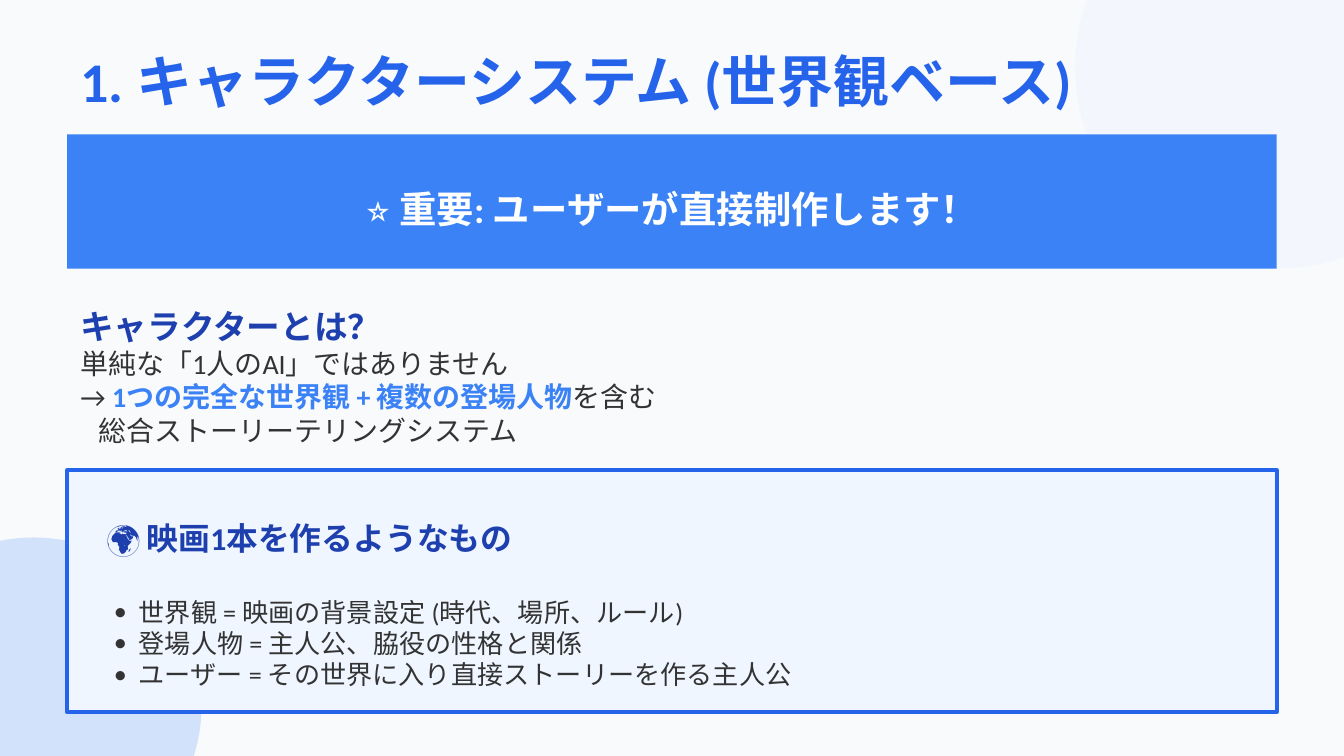
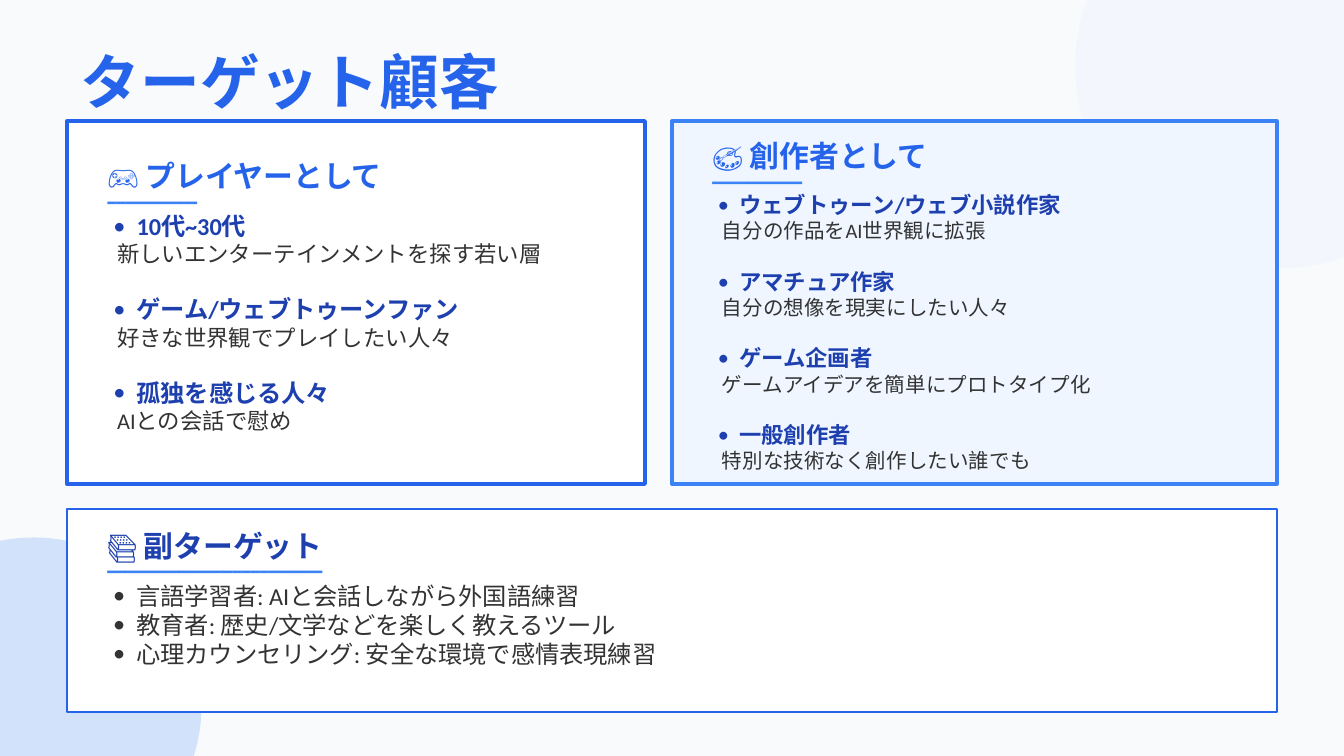
import pptx
import pptx.util
import pptx.dml.color
import pptx.enum.shapes
import pptx.enum.text
import pptx.oxml.ns
from lxml import etree

Cm = pptx.util.Cm
Pt = pptx.util.Pt
qn = pptx.oxml.ns.qn
Kind = pptx.enum.shapes.MSO_SHAPE
Align = pptx.enum.text.PP_ALIGN

FONT = "Calibri"
HUES = {
    "page": "F8FAFC",
    "pale": "EFF6FF",
    "sky": "3B82F6",
    "blue": "2563EB",
    "navy": "1E40AF",
    "ink": "333333",
    "white": "FFFFFF",
}
EDGE = 1.27
INNER = 1.78
WIDE = 22.86
DOT = 0.042
SUB = 0.18


def tint(name):
    return pptx.dml.color.RGBColor.from_string(HUES[name])


def put(para, text, size=15, color="ink", bold=False, align=Align.LEFT,
        before=0, left=0, dot=False):
    props = para._p.get_or_add_pPr()
    if dot:
        left = size * DOT
    props.set("marL", str(Cm(left)))
    props.set("indent", str(Cm(-0.8 * left) if dot else 0))
    if dot:
        etree.SubElement(props, qn("a:buFont")).set("typeface", FONT)
        etree.SubElement(props, qn("a:buChar")).set("char", "•")
    else:
        etree.SubElement(props, qn("a:buNone"))
    para.alignment = align
    para.space_before = Pt(before)
    for spot, part in enumerate(text.split("|")):
        accent = spot % 2 == 1
        run = para.add_run()
        run.text = part
        run.font.name = FONT
        run.font.size = Pt(size)
        run.font.bold = bold or accent
        run.font.color.rgb = tint("sky" if accent else color)


def line(text, **form):
    return text, form


def rule(count):
    return line("━" * count, size=8, color="sky")


def group(pairs, size):
    rows = []
    for spot, (name, note) in enumerate(pairs):
        gap = round(1.22 * (size - 1), 1) if spot else 0
        rows.append(line(name, size=size, color="navy", bold=True,
                         before=gap, dot=True))
        rows.append(line(note, size=size - 1, left=SUB))
    return rows


class Deck:
    def __init__(self):
        self.show = pptx.Presentation()
        self.show.slide_width = Cm(25.4)
        self.show.slide_height = Cm(14.29)
        self.slide = None

    def page(self, layout, text, size):
        self.slide = self.show.slides.add_slide(self.show.slide_layouts[layout])
        fill = self.slide.background.fill
        fill.solid()
        fill.fore_color.rgb = tint("page")
        self.disc(20.32, -2.54, 7.62, "pale", 50)
        self.disc(-2.54, 10.16, 6.35, "sky", 20)
        self.hold(0, (EDGE, 0.76, WIDE, 1.52),
                  [line(text, size=size, color="blue", bold=True)])

    def shape(self, kind, box, color):
        shape = self.slide.shapes.add_shape(kind, *map(Cm, box))
        shape.shadow.inherit = False
        shape.fill.solid()
        shape.fill.fore_color.rgb = tint(color)
        shape.line.fill.background()
        return shape

    def disc(self, left, top, size, color, alpha):
        shape = self.shape(Kind.OVAL, (left, top, size, size), color)
        hue = shape._element.spPr.find(".//" + qn("a:srgbClr"))
        etree.SubElement(hue, qn("a:alpha")).set("val", str(alpha * 1000))

    def panel(self, box, color, edge=None, width=2):
        shape = self.shape(Kind.RECTANGLE, box, color)
        if edge:
            shape.line.color.rgb = tint(edge)
            shape.line.width = Pt(width)

    def hold(self, index, box, rows):
        item = self.slide.placeholders[index]
        item.left, item.top, item.width, item.height = map(Cm, box)
        self.slide.shapes._spTree.append(item._element)
        self.flow(item.text_frame, rows)

    def words(self, box, rows):
        item = self.slide.shapes.add_textbox(*map(Cm, box))
        self.flow(item.text_frame, rows)

    def flow(self, frame, rows):
        frame.word_wrap = True
        frame.auto_size = pptx.enum.text.MSO_AUTO_SIZE.NONE
        frame.vertical_anchor = pptx.enum.text.MSO_ANCHOR.MIDDLE
        for spot, (text, form) in enumerate(rows):
            para = frame.add_paragraph() if spot else frame.paragraphs[0]
            put(para, text, **form)


def system(deck):
    deck.page(1, "1. キャラクターシステム (世界観ベース)", 30)
    deck.panel((EDGE, 2.54, WIDE, 2.54), "sky")
    deck.words((INNER, 3.3, 21.84, 1.27), [
        line("⭐ 重要: ユーザーが直接制作します！", size=20, color="white",
             bold=True, align=Align.CENTER),
    ])
    deck.words((EDGE, 5.59, WIDE, 3.05), [
        line("キャラクターとは？", size=18, color="navy", bold=True),
        line("単純な「1人のAI」ではありません"),
        line("→ |1つの完全な世界観 + 複数の登場人物|を含む"),
        line("総合ストーリーテリングシステム", left=0.35),
    ])
    deck.panel((EDGE, 8.89, WIDE, 4.57), "pale", "blue")
    facts = [
        "世界観 = 映画の背景設定 (時代、場所、ルール)",
        "登場人物 = 主人公、脇役の性格と関係",
        "ユーザー = その世界に入り直接ストーリーを作る主人公",
    ]
    deck.hold(1, (INNER, 9.4, 21.84, 4.06), [
        line("🌍 映画1本を作るようなもの", size=17, color="navy", bold=True),
        *[line(fact, size=14, dot=True, before=0 if spot else 20.7)
          for spot, fact in enumerate(facts)],
    ])


def target(deck):
    deck.page(3, "ターゲット顧客", 32)
    deck.panel((EDGE, 2.29, 10.92, 6.86), "white", "blue")
    deck.hold(1, (INNER, 3.05, 10.16, 5.08), [
        line("🎮 プレイヤーとして", size=16, color="blue", bold=True),
        rule(10),
        *group([
            ("10代~30代", "新しいエンターテインメントを探す若い層"),
            ("ゲーム/ウェブトゥーンファン", "好きな世界観でプレイしたい人々"),
            ("孤独を感じる人々", "AIとの会話で慰め"),
        ], 13),
    ])
    deck.panel((12.7, 2.29, 11.43, 6.86), "pale", "sky")
    deck.hold(2, (13.21, 3.23, 10.92, 5.08), [
        line("🎨 創作者として", size=16, color="blue", bold=True),
        rule(10),
        *group([
            ("ウェブトゥーン/ウェブ小説作家", "自分の作品をAI世界観に拡張"),
            ("アマチュア作家", "自分の想像を現実にしたい人々"),
            ("ゲーム企画者", "ゲームアイデアを簡単にプロトタイプ化"),
            ("一般創作者", "特別な技術なく創作したい誰でも"),
        ], 12),
    ])
    deck.panel((EDGE, 9.63, WIDE, 3.83), "white", "blue", 1)
    uses = [
        "言語学習者: AIと会話しながら外国語練習",
        "教育者: 歴史/文学などを楽しく教えるツール",
        "心理カウンセリング: 安全な環境で感情表現練習",
    ]
    deck.words((INNER, 9.14, 21.84, 4.32), [
        line("📚 副ターゲット", size=16, color="navy", bold=True),
        rule(24),
        *[line(use, size=13, dot=True) for use in uses],
    ])


def main():
    deck = Deck()
    system(deck)
    target(deck)
    deck.show.save("out.pptx")


if __name__ == "__main__":
    main()
